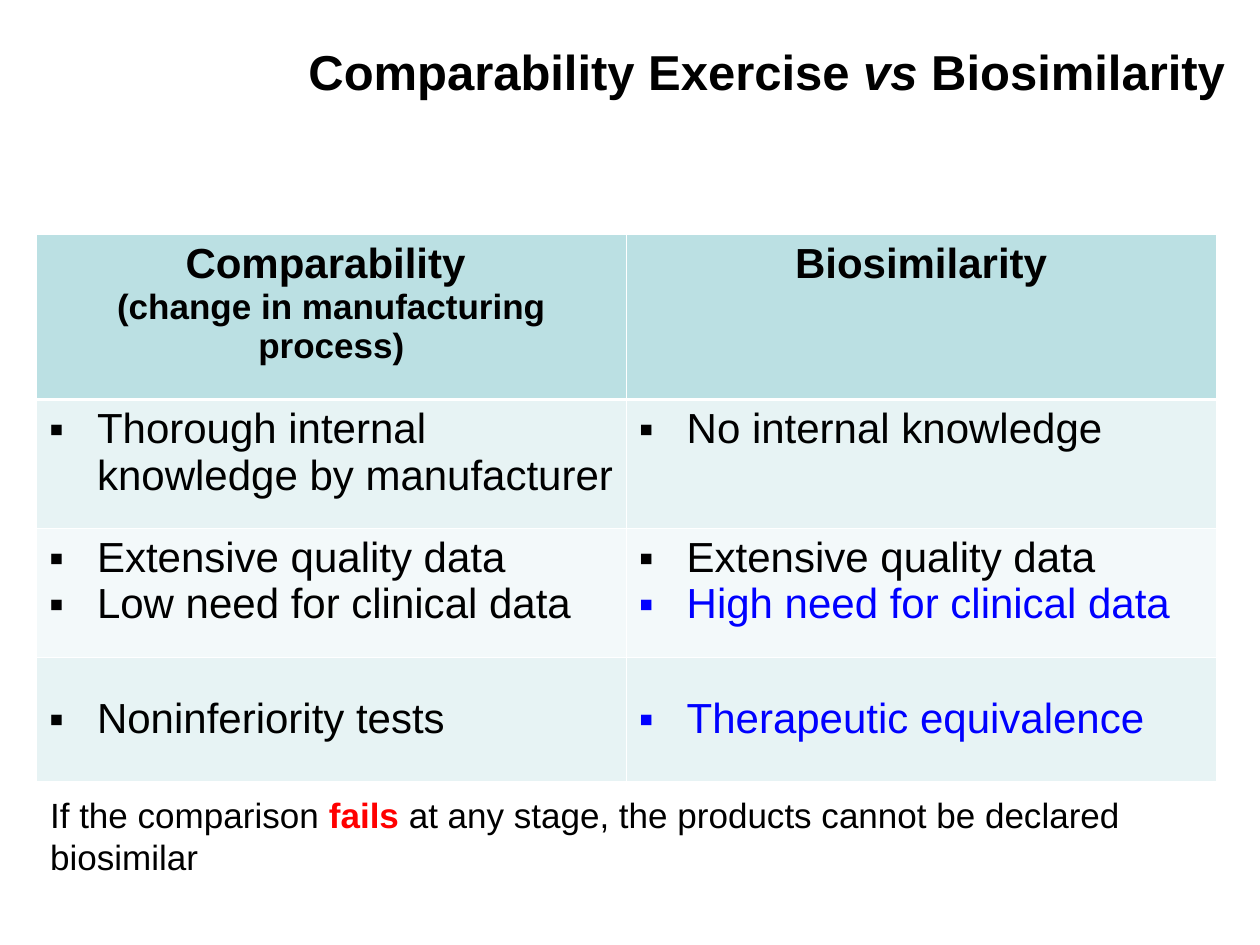
from lxml import etree
from pptx import Presentation, util as u
from pptx.dml.color import RGBColor
from pptx.enum import text
from pptx.oxml.ns import qn

# Content: a paragraph is a list of (text, format) runs
BLUE = dict(color="blue")
TITLE = [[("Comparability Exercise ", {}), ("vs", dict(italic=True)),
          (" Biosimilarity", {})]]
HEADER = [
    [[("Comparability ", {})],
     [("(change in manufacturing process)", dict(size="small"))]],
    [[("Biosimilarity", {})]],
]
ROWS = [
    [[[("Thorough internal knowledge by manufacturer", {})]],
     [[("No internal knowledge", {})]]],
    [[[("Extensive quality data", {})], [("Low need for clinical data", {})]],
     [[("Extensive quality data", {})],
      [("High need for clinical data", BLUE)]]],
    [[[("Noninferiority tests", {})]],
     [[("Therapeutic equivalence", BLUE)]]],
]
FOOTNOTE = [[("If the comparison ", {}),
             ("fails", dict(color="red", bold=True)),
             (" at any stage, the products cannot be declared biosimilar", {})]]

THEME = dict(
    font="Arial",
    colors=dict(black="000000", blue="0000FF", red="FF0000", white="FFFFFF",
                header="BBE0E3", odd="E7F3F4", even="F3F9FA"),
    sizes=dict(title=28, body=24, small=20),
    thin=0.45, thick=1.47,
)

# Layout in inches
TITLE_BOX = (0.82, 0.22, 9, 0.69)
TABLE_AT = (0.29, 1.86)
COL_WIDTH = 4.68
ROW_HEIGHTS = (1.31, 1.02, 1.03, 0.98)
FOOTNOTE_BOX = (0.3, 6.25, 9.03, 0.77)
INDENT = 0.38


def rgb(name):
    return RGBColor.from_string(THEME["colors"][name])


def add_bullet(p, color):
    pPr = p._p.get_or_add_pPr()
    pPr.set("marL", str(u.Inches(INDENT)))
    pPr.set("indent", str(-u.Inches(INDENT)))
    clr = etree.SubElement(pPr, qn("a:buClr"))
    etree.SubElement(clr, qn("a:srgbClr"), val=THEME["colors"][color])
    etree.SubElement(pPr, qn("a:buFont"), typeface=THEME["font"])
    etree.SubElement(pPr, qn("a:buChar"), char="▪")


def write(tf, paragraphs, align=text.PP_ALIGN.LEFT, bullet=False, **base):
    tf.word_wrap = True
    for i, runs in enumerate(paragraphs):
        p = tf.add_paragraph() if i else tf.paragraphs[0]
        p.alignment = align
        if bullet:
            add_bullet(p, runs[0][1].get("color", "black"))
        for content, own in runs:
            fmt = dict(size="body", color="black", bold=False, italic=False)
            fmt.update(base)
            fmt.update(own)
            r = p.add_run()
            r.text = content
            r.font.name = THEME["font"]
            r.font.size = u.Pt(THEME["sizes"][fmt["size"]])
            r.font.color.rgb = rgb(fmt["color"])
            r.font.bold, r.font.italic = fmt["bold"], fmt["italic"]


def style_cell(cell, fill, **widths):
    tcPr = cell._tc.get_or_add_tcPr()
    for side in "LRTB":
        width = u.Pt(widths.get(side, THEME["thin"]))
        ln = etree.SubElement(tcPr, qn("a:ln" + side), w=str(width))
        solid = etree.SubElement(ln, qn("a:solidFill"))
        etree.SubElement(solid, qn("a:srgbClr"), val=THEME["colors"]["white"])
    cell.fill.solid()
    cell.fill.fore_color.rgb = rgb(fill)


def add_text(s, box, paragraphs, anchor=text.MSO_ANCHOR.TOP, **fmt):
    sp = s.shapes.add_textbox(*map(u.Inches, box))
    sp.text_frame.vertical_anchor = anchor
    write(sp.text_frame, paragraphs, **fmt)


def add_comparison(s):
    grid = [HEADER] + ROWS
    n_cols = len(HEADER)
    size = (COL_WIDTH * n_cols, sum(ROW_HEIGHTS))
    table = s.shapes.add_table(len(grid), n_cols,
                               *map(u.Inches, TABLE_AT + size)).table
    for col in table.columns:
        col.width = u.Inches(COL_WIDTH)
    for i, (row, height) in enumerate(zip(grid, ROW_HEIGHTS)):
        table.rows[i].height = u.Inches(height)
        for j, paragraphs in enumerate(row):
            cell = table.cell(i, j)
            if i == 0:
                style_cell(cell, "header", B=THEME["thick"])
                write(cell.text_frame, paragraphs, bold=True,
                      align=text.PP_ALIGN.CENTER)
            else:
                top = THEME["thick" if i == 1 else "thin"]
                style_cell(cell, "odd" if i % 2 else "even", T=top)
                write(cell.text_frame, paragraphs, bullet=True)
            if i == len(grid) - 1:
                cell.vertical_anchor = text.MSO_ANCHOR.MIDDLE


prs = Presentation()
prs.slide_width, prs.slide_height = u.Inches(10), u.Inches(7.5)
s = prs.slides.add_slide(prs.slide_layouts[6])

# Title, table, footnote
add_text(s, TITLE_BOX, TITLE, anchor=text.MSO_ANCHOR.MIDDLE,
         align=text.PP_ALIGN.RIGHT, size="title", bold=True)
add_comparison(s)
add_text(s, FOOTNOTE_BOX, FOOTNOTE, size="small")

prs.save("out.pptx")
